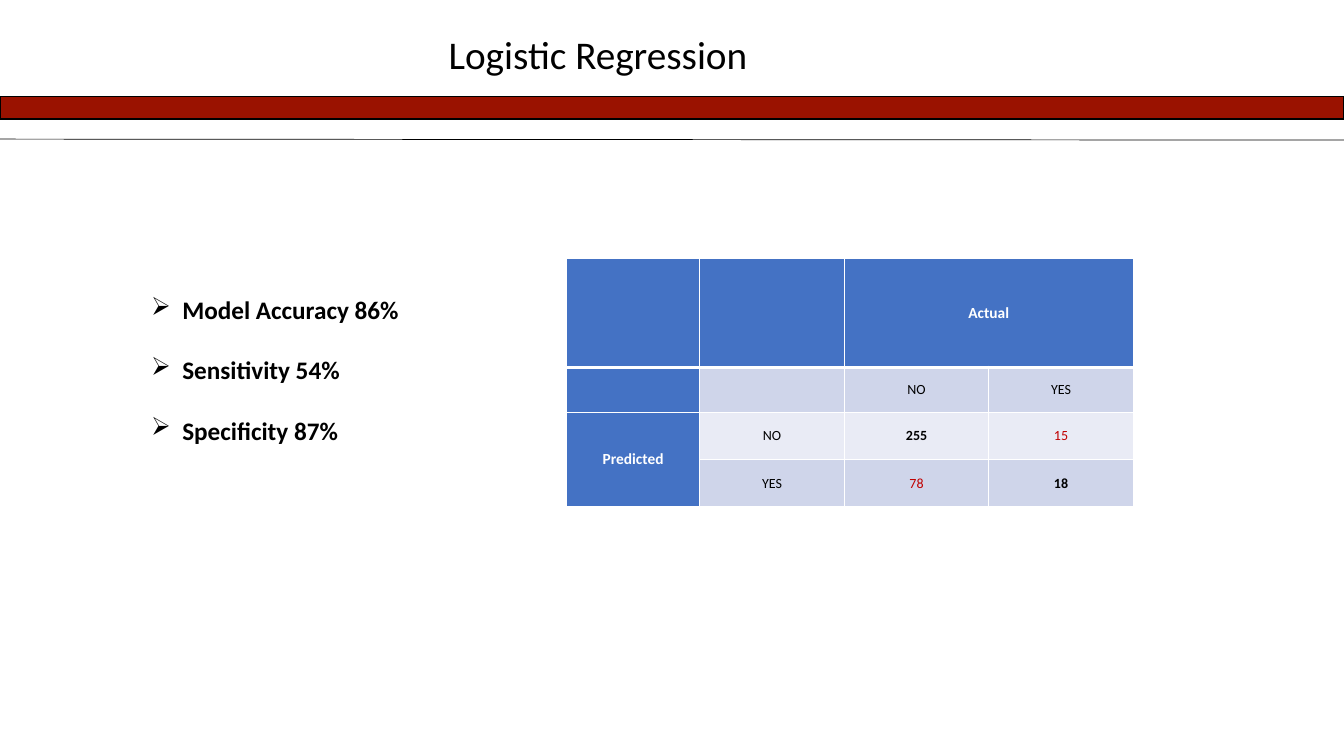
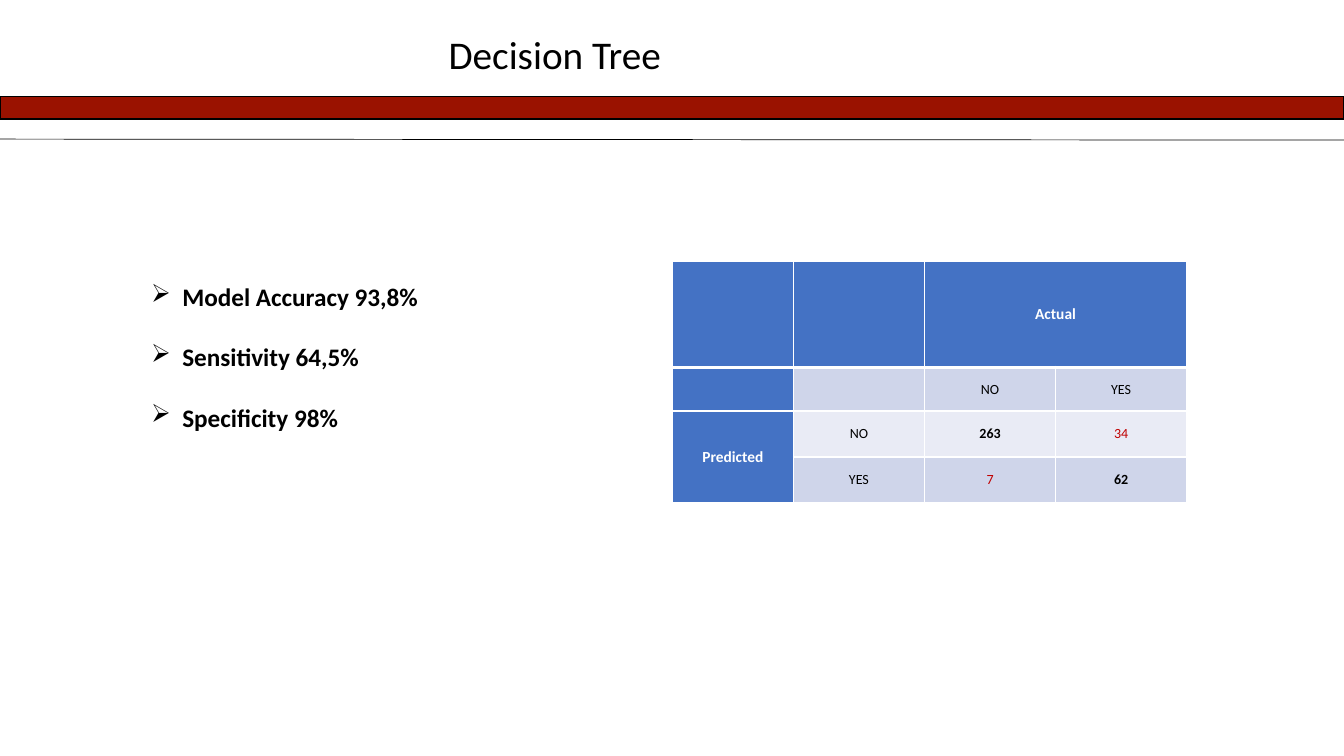
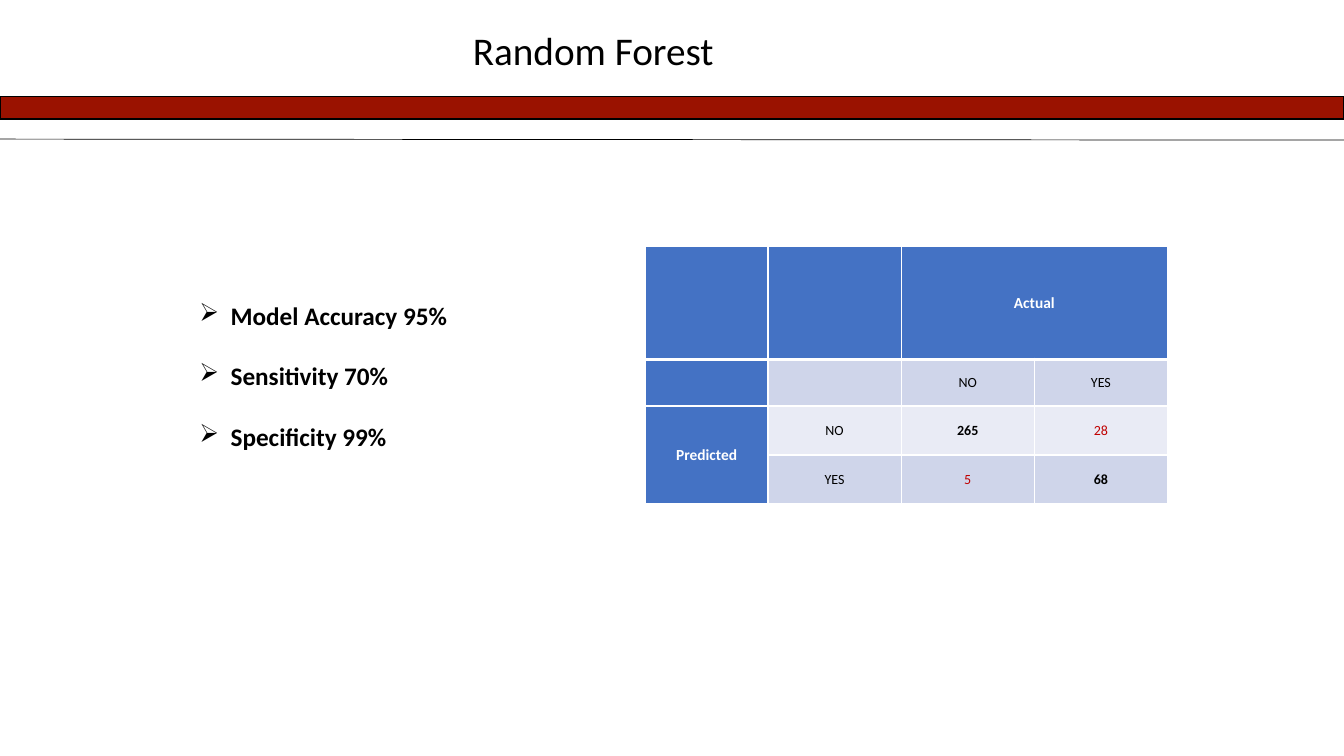
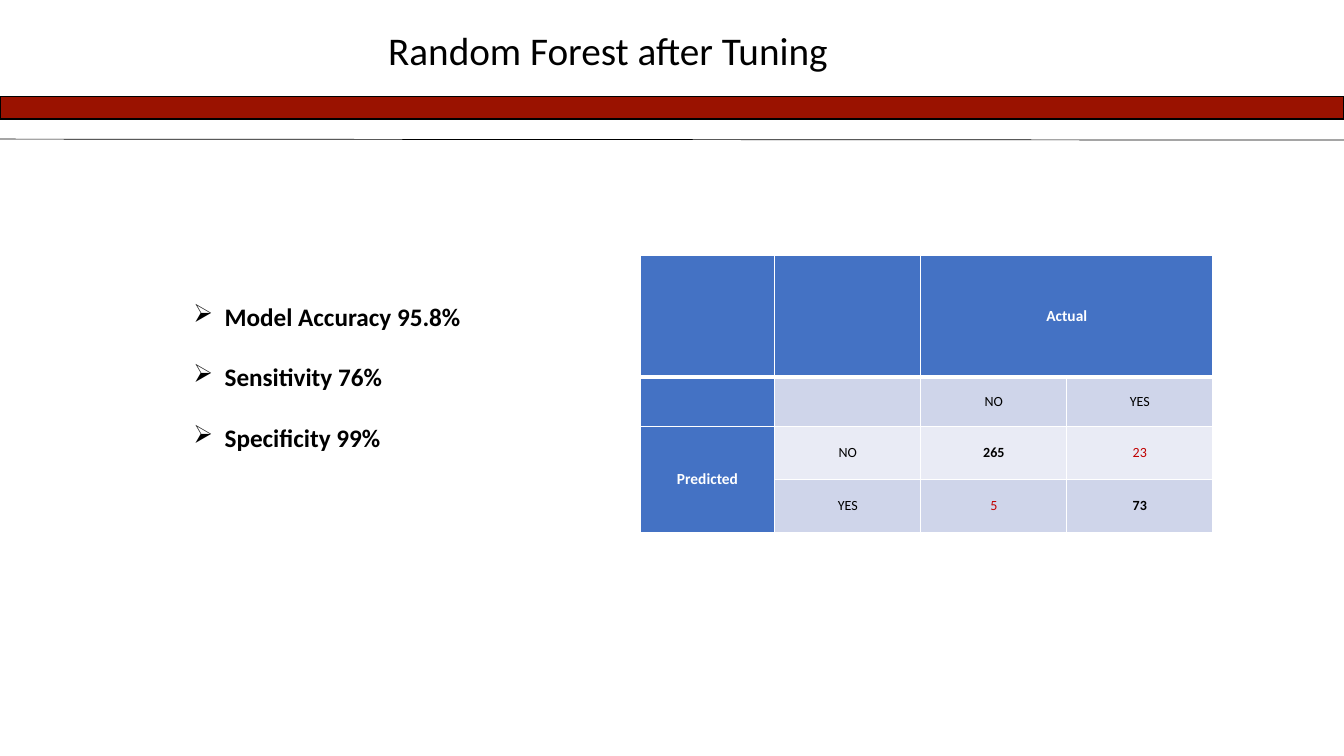
from pptx import Presentation
from pptx.dml.color import RGBColor
from pptx.enum.shapes import MSO_CONNECTOR as Connector, MSO_SHAPE as Shape
from pptx.enum.text import MSO_ANCHOR as Anchor, MSO_AUTO_SIZE as AutoSize, PP_ALIGN as Align
from pptx.oxml.xmlchemy import OxmlElement
from pptx.util import Inches, Pt

FONT = "Calibri"
BLACK, WHITE = "000000", "FFFFFF"
BAND_RED, ERROR_RED = "9A1200", "C00000"
HEADER_BLUE, ROW_DARK, ROW_LIGHT = "4472C4", "CFD5EA", "E9EBF5"
SLIDE_WIDTH, SLIDE_HEIGHT = 13.33, 7.5
COLUMN_SHARES = (0.235, 0.255, 0.255, 0.255)
ROW_SHARES = (0.44, 0.18, 0.19, 0.19)

MODELS = [
    dict(name="Logistic Regression", title_box=(4.35, 0.25, 3.83, 0.57),
         measures=("Model Accuracy 86%", "Sensitivity 54%", "Specificity 87%"),
         measures_box=(1.4, 2.87, 4.22, 1.92),
         counts=((255, 15), (78, 18)), table_box=(5.62, 2.56, 5.62, 2.47)),
    dict(name="Decision Tree", title_box=(4.35, 0.25, 3.83, 0.57),
         measures=("Model Accuracy 93,8%", "Sensitivity 64,5%", "Specificity 98%"),
         measures_box=(1.4, 2.74, 4.17, 2.52),
         counts=((263, 34), (7, 62)), table_box=(6.67, 2.59, 5.1, 2.4)),
    dict(name="Random Forest", title_box=(4.59, 0.21, 3.83, 0.57),
         measures=("Model Accuracy 95%", "Sensitivity 70%", "Specificity 99%"),
         measures_box=(1.88, 2.93, 3.6, 2.52),
         counts=((265, 28), (5, 68)), table_box=(6.4, 2.44, 5.18, 2.56)),
    dict(name="Random Forest after Tuning", title_box=(3.75, 0.21, 4.67, 0.57),
         measures=("Model Accuracy 95.8%", "Sensitivity 76%", "Specificity 99%"),
         measures_box=(1.82, 2.94, 3.87, 2.52),
         counts=((265, 23), (5, 73)), table_box=(6.35, 2.53, 5.68, 2.75)),
]


def paint(color_owner, color):
    """Colour a fill, which becomes solid, or a font or line."""
    if hasattr(color_owner, "solid"):
        color_owner.solid()
        color_owner = color_owner.fore_color
    else:
        color_owner = color_owner.color
    color_owner.rgb = RGBColor.from_string(color)


def write(paragraph, text, size=18, color=BLACK, bold=False, align=Align.LEFT):
    paragraph.alignment = align
    run = paragraph.add_run()
    run.text = str(text)
    run.font.name, run.font.size, run.font.bold = FONT, Pt(size), bold
    paint(run.font, color)


def add_bullet(paragraph, character="➢", indent=0.31):
    properties = paragraph._p.get_or_add_pPr()
    properties.set("marL", str(Inches(indent)))
    properties.set("indent", str(-Inches(indent)))
    bullet = OxmlElement("a:buChar")
    bullet.set("char", character)
    properties.append(bullet)


def add_cell_borders(cell, **widths):
    """Draw white borders; widths in points by side: L, R, T, B."""
    properties = cell._tc.get_or_add_tcPr()
    for side in "LRTB":
        line = OxmlElement(f"a:ln{side}")
        line.set("w", str(Pt(widths.get(side, 1))))
        fill, color = OxmlElement("a:solidFill"), OxmlElement("a:srgbClr")
        color.set("val", WHITE)
        fill.append(color)
        line.append(fill)
        properties.append(line)


class Deck:
    def __init__(self):
        self.presentation = Presentation()
        self.presentation.slide_width = Inches(SLIDE_WIDTH)
        self.presentation.slide_height = Inches(SLIDE_HEIGHT)
        self.slide = None

    def add_slide(self, title, box):
        layout = self.presentation.slide_layouts.get_by_name("Title Only")
        self.slide = self.presentation.slides.add_slide(layout)
        self.add_rule()
        self.add_band()
        self.set_title(title, box)

    def set_title(self, title, box):
        shape = self.slide.shapes.title
        shape.left, shape.top, shape.width, shape.height = map(Inches, box)
        frame = shape.text_frame
        frame.word_wrap = True
        frame.auto_size = AutoSize.SHAPE_TO_FIT_TEXT
        frame.vertical_anchor = Anchor.TOP
        write(frame.paragraphs[0], title, size=28)

    def add_rule(self):
        rule = self.slide.shapes.add_connector(
            Connector.STRAIGHT, 0, Inches(1.38), Inches(SLIDE_WIDTH), Inches(1.39))
        paint(rule.line, BLACK)
        rule.line.width = Pt(0.5)
        rule._element.spPr.append(OxmlElement("a:effectLst"))

    def add_band(self):
        band = self.slide.shapes.add_shape(
            Shape.RECTANGLE, 0, Inches(0.96), Inches(SLIDE_WIDTH), Inches(0.22))
        band.shadow.inherit = False
        paint(band.fill, BAND_RED)
        paint(band.line, BLACK)
        band.line.width = Pt(1)

    def add_measures(self, measures, box):
        frame = self.slide.shapes.add_textbox(*map(Inches, box)).text_frame
        frame.word_wrap = True
        for index, measure in enumerate(measures):
            paragraph = frame.add_paragraph() if index else frame.paragraphs[0]
            paragraph.space_before = Pt(21.5 if index else 0)
            write(paragraph, measure, bold=True)
            add_bullet(paragraph)

    def add_confusion_matrix(self, counts, box):
        table = self.slide.shapes.add_table(4, 4, *map(Inches, box)).table
        for column, share in zip(table.columns, COLUMN_SHARES):
            column.width = Inches(box[2] * share)
        for row, share in zip(table.rows, ROW_SHARES):
            row.height = Inches(box[3] * share)

        (true_no, missed), (false_yes, true_yes) = counts
        texts = (("", "", "Actual", ""),
                 ("", "", "NO", "YES"),
                 ("Predicted", "NO", true_no, missed),
                 ("", "YES", false_yes, true_yes))
        for row_index, row in enumerate(texts):
            for column_index, text in enumerate(row):
                self.format_cell(table.cell(row_index, column_index), text,
                                 row_index, column_index)
        table.cell(0, 2).merge(table.cell(0, 3))
        table.cell(2, 0).merge(table.cell(3, 0))

    def format_cell(self, cell, text, row, column):
        is_header = row == 0 or column == 0
        is_count = row >= 2 and column >= 2
        is_correct = is_count and row == column
        add_cell_borders(cell, T=3 if row == 1 else 1, B=3 if row == 0 else 1)
        paint(cell.fill, HEADER_BLUE if is_header else ROW_DARK if row % 2 else ROW_LIGHT)
        cell.vertical_anchor = Anchor.MIDDLE
        cell.margin_left = cell.margin_right = Inches(0.07)
        cell.margin_top = cell.margin_bottom = 0
        if text != "":
            color = WHITE if is_header else ERROR_RED if is_count and not is_correct else BLACK
            write(cell.text_frame.paragraphs[0], text, size=11 if is_header else 10,
                  color=color, bold=is_header or is_correct, align=Align.CENTER)


def main():
    deck = Deck()
    for model in MODELS:
        deck.add_slide(model["name"], model["title_box"])
        deck.add_measures(model["measures"], model["measures_box"])
        deck.add_confusion_matrix(model["counts"], model["table_box"])
    deck.presentation.save("out.pptx")


if __name__ == "__main__":
    main()
